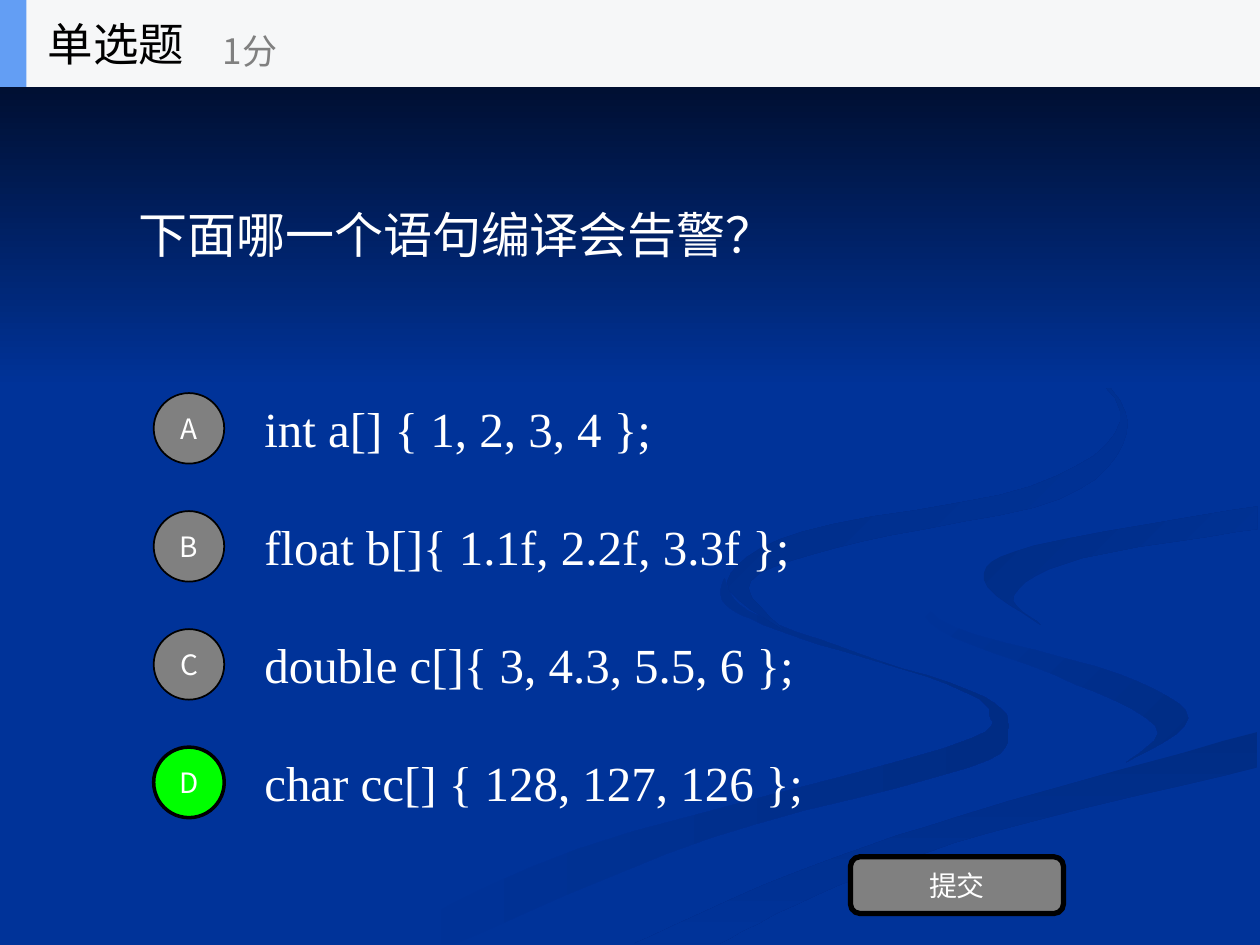
from pptx import Presentation
from pptx.dml.color import RGBColor
from pptx.enum.shapes import MSO_SHAPE
from pptx.enum.text import MSO_ANCHOR, MSO_AUTO_SIZE, PP_ALIGN
from pptx.oxml.ns import qn
from pptx.util import Inches, Pt

LEFT, CENTER = PP_ALIGN.LEFT, PP_ALIGN.CENTER
MIDDLE = MSO_ANCHOR.MIDDLE
NO_AUTOFIT = MSO_AUTO_SIZE.NONE
RECTANGLE, OVAL, ROUNDED = MSO_SHAPE.RECTANGLE, MSO_SHAPE.OVAL, MSO_SHAPE.ROUNDED_RECTANGLE

THEME = {
    "blue": "003399", "shade": "002C84", "night": "000514", "white": "FFFFFF",
    "black": "000000", "gray": "808080", "green": "00FF00", "bar": "F6F7F8",
    "accent": "639EF4", "serif": "Times New Roman", "sans": "Noto Sans CJK SC",
    "body_size": 28, "heading_size": 26, "points_size": 20, "label_size": 16,
}


def paint(shape, colors, line_width=0, angle=0):
    """Fill with one colour, or with a gradient between two at a clockwise angle."""
    shape.shadow.inherit = False
    if len(colors) == 2:
        shape.fill.gradient()
        shape.fill.gradient_angle = -angle % 360
        for stop, color in zip(shape.fill.gradient_stops, colors):
            stop.color.rgb = RGBColor.from_string(THEME[color])
    else:
        shape.fill.solid()
        shape.fill.fore_color.rgb = RGBColor.from_string(THEME[colors[0]])
    if line_width:
        shape.line.color.rgb = RGBColor.from_string(THEME["black"])
        shape.line.width = Pt(line_width)
    else:
        shape.line.fill.background()


def write(shape, text, size, color="white", family="sans", alignment=LEFT):
    frame = shape.text_frame
    frame_format = {
        "word_wrap": True, "auto_size": NO_AUTOFIT, "vertical_anchor": MIDDLE,
        "margin_left": Inches(0.1), "margin_right": Inches(0.1),
        "margin_top": Inches(0.05), "margin_bottom": Inches(0.05),
    }
    for name, value in frame_format.items():
        setattr(frame, name, value)
    paragraph = frame.paragraphs[0]
    paragraph.alignment = alignment
    run = paragraph.add_run()
    run.text = text
    run.font.name = THEME[family]
    run.font.size = Pt(THEME[size])
    run.font.color.rgb = RGBColor.from_string(THEME[color])
    latin = run._r.get_or_add_rPr().find(qn("a:latin"))
    latin.addnext(latin.makeelement(qn("a:ea"), {"typeface": THEME["sans"]}))


presentation = Presentation()
presentation.slide_width = Inches(10)
presentation.slide_height = Inches(7.5)
slide = presentation.slides.add_slide(presentation.slide_layouts[5])
shapes = slide.shapes
slide.background.fill.solid()
slide.background.fill.fore_color.rgb = RGBColor.from_string(THEME["blue"])

# Backdrop ribbons: two edges in hundredths of an inch, gradient colours and angle
ribbons = [
    ([(575, 459), (594, 485), (682, 519), (781, 553), (800, 581), (769, 609), (564, 665), (361, 749)],
     [(300, 749), (458, 674), (749, 594), (785, 566), (752, 543), (631, 505), (576, 480), (575, 459)],
     ("blue", "shade"), 0),
    ([(724, 464), (758, 498), (888, 535), (943, 570), (894, 605)],
     [(894, 605), (917, 576), (838, 536), (746, 500), (724, 464)],
     ("blue", "shade"), 45),
    ([(503, 749), (630, 693), (764, 647), (998, 581)],
     [(998, 609), (785, 661), (649, 710), (571, 749)],
     ("shade", "blue"), 90),
    ([(826, 496), (781, 460), (821, 433), (998, 402)],
     [(998, 420), (859, 443), (805, 472), (826, 496)],
     ("shade", "blue"), 45),
    ([(762, 233), (864, 291), (894, 344), (841, 396), (683, 430), (596, 461), (622, 500)],
     [(622, 500), (577, 462), (637, 422), (818, 386), (889, 335), (846, 279), (762, 233)],
     ("shade", "blue"), 45),
]
steps = 6
for *edges, colors, angle in ribbons:
    outline = []
    for edge in edges:
        # Catmull-Rom curve through the points of the edge
        knots = [edge[0], *edge, edge[-1]]
        for before, start, end, after in zip(knots, knots[1:], knots[2:], knots[3:]):
            for step in range(steps):
                t = step / steps
                outline.append(tuple(
                    b + ((c - a) * t + (2 * a - 5 * b + 4 * c - d) * t**2
                         + (3 * b - a - 3 * c + d) * t**3) / 2
                    for a, b, c, d in zip(before, start, end, after)))
        outline.append(edge[-1])
    builder = shapes.build_freeform(*outline[0], scale=Inches(0.01))
    builder.add_line_segments(outline[1:], close=True)
    paint(builder.convert_to_shape(), colors, angle=angle)

sky = shapes.add_shape(RECTANGLE, 0, 0, Inches(10), Inches(3.08))
paint(sky, ("night", "blue"), angle=90)

# Question, raised above the backdrop
question = shapes.title
question.element.getparent().append(question.element)
question.left, question.top = Inches(1), Inches(0.69)
question.width, question.height = Inches(8), Inches(2.34)
write(question, "下面哪一个语句编译会告警？", "body_size", family="serif")

# Answer options
options = [
    ("A", "int a[] { 1, 2, 3, 4 };"),
    ("B", "float b[]{ 1.1f, 2.2f, 3.3f };"),
    ("C", "double c[]{ 3, 4.3, 5.5, 6 };"),
    ("D", "char cc[] { 128, 127, 126 };"),
]
correct_letter = "D"
first_top, last_top = 3.05, 5.86
row_pitch = (last_top - first_top) / (len(options) - 1)
for index, (letter, statement) in enumerate(options):
    top = first_top + index * row_pitch
    answer = shapes.add_textbox(Inches(2), Inches(top), Inches(7), Inches(0.7))
    write(answer, statement, "body_size", family="serif")
    badge = shapes.add_shape(OVAL, Inches(1.22), Inches(top + 0.07), Inches(0.56), Inches(0.56))
    color, line_width = ("green", 2) if letter == correct_letter else ("gray", 1)
    paint(badge, [color], line_width)
    write(badge, letter, "label_size", alignment=CENTER)

submit_button = shapes.add_shape(ROUNDED, Inches(6.75), Inches(6.8), Inches(1.69), Inches(0.45))
paint(submit_button, ["gray"], 3)
write(submit_button, "提交", "label_size", alignment=CENTER)

# Header bar
for width, color in [(10, "bar"), (0.21, "accent")]:
    bar = shapes.add_shape(RECTANGLE, 0, 0, Inches(width), Inches(0.69))
    paint(bar, [color])
heading = shapes.add_textbox(Inches(0.28), 0, Inches(2.08), Inches(0.69))
write(heading, "单选题", "heading_size", "black")
points = shapes.add_textbox(Inches(1.67), Inches(0.12), Inches(2.5), Inches(0.56))
write(points, "1分", "points_size", "gray")

presentation.save("out.pptx")
